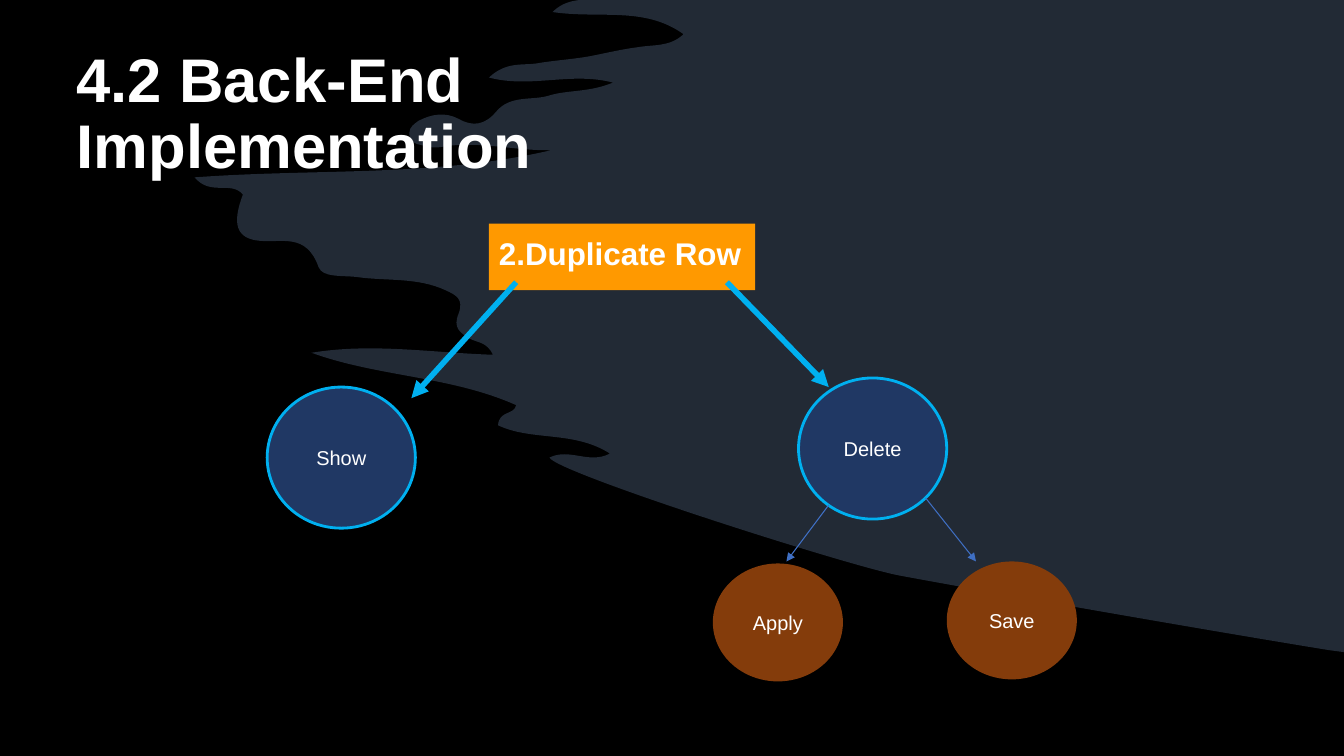
from lxml import etree
from pptx import Presentation
from pptx.dml.color import RGBColor
from pptx.enum.shapes import MSO_CONNECTOR, MSO_SHAPE
from pptx.enum.text import MSO_ANCHOR, MSO_AUTO_SIZE, PP_ALIGN
from pptx.oxml.ns import qn
from pptx.util import Inches, Pt

TITLE = "4.2 Back-End Implementation"
ROOT = "2.Duplicate Row"
WHITE, BLACK, SKY = "FFFFFF", "000000", "00B0F0"

ACTION = {"size": (1.47, 1.4), "fill": "203864", "line": SKY}
RESULT = {"size": (1.29, 1.17), "fill": "843C0B", "line": None}
NODES = [  # label, left, top, style
    ("Show", 2.65, 3.84, ACTION),
    ("Delete", 7.92, 3.75, ACTION),
    ("Apply", 7.07, 5.59, RESULT),
    ("Save", 9.39, 5.57, RESULT),
]

THICK, THIN = (SKY, 4), ("3F6FC3", 0.75)
ARROWS = [  # start, end, (colour, width)
    ((5.12, 2.8), (4.08, 3.95), THICK),
    ((7.21, 2.8), (8.22, 3.84), THICK),
    ((8.22, 5.01), (7.8, 5.57), THIN),
    ((9.18, 4.94), (9.68, 5.57), THIN),
]

BRUSH_TOP = [(13.33, 0), (5.75, 0)]
BRUSH_CURVES = [  # two control points and an end point each
    (5.67, 0.01, 5.57, 0.03, 5.48, 0.12), (5.95, 0.19, 6.39, 0.06, 6.78, 0.34),
    (6.64, 0.47, 6.48, 0.44, 6.32, 0.47), (6.16, 0.49, 6, 0.53, 5.84, 0.56),
    (5.67, 0.59, 5.49, 0.6, 5.32, 0.63), (5.18, 0.65, 5.02, 0.61, 4.85, 0.77),
    (5.27, 0.88, 5.66, 0.71, 6.08, 0.82), (5.84, 0.92, 5.63, 0.89, 5.44, 0.95),
    (5.27, 1, 5.06, 0.94, 4.92, 1.11), (4.81, 1.24, 4.69, 1.26, 4.55, 1.18),
    (4.42, 1.11, 4.28, 1.13, 4.15, 1.2), (4.11, 1.23, 4.06, 1.26, 4.06, 1.32),
    (4.06, 1.41, 4.12, 1.43, 4.18, 1.44), (4.24, 1.46, 4.31, 1.47, 4.37, 1.46),
    (4.74, 1.39, 5.1, 1.5, 5.47, 1.49), (4.31, 1.76, 3.14, 1.67, 1.93, 1.76),
    (2.09, 1.95, 2.29, 1.79, 2.41, 1.93), (2.3, 2.22, 2.34, 2.37, 2.58, 2.39),
    (2.8, 2.41, 3.04, 2.31, 3.16, 2.65), (3.2, 2.76, 3.41, 2.73, 3.55, 2.75),
    (3.84, 2.79, 4.14, 2.75, 4.42, 2.88), (4.53, 2.93, 4.6, 2.97, 4.55, 3.11),
    (4.49, 3.25, 4.56, 3.3, 4.66, 3.36), (4.73, 3.4, 4.83, 3.39, 4.89, 3.52),
    (4.28, 3.5, 3.69, 3.4, 3.09, 3.5), (3.75, 3.74, 4.47, 3.73, 5.12, 4.02),
    (5.1, 4.12, 4.95, 4.07, 4.94, 4.22), (5.28, 4.38, 5.69, 4.27, 6.05, 4.5),
    (5.84, 4.61, 5.65, 4.44, 5.45, 4.54), (5.52, 4.69, 8.4, 5.61, 8.92, 5.71),
    (9.78, 5.87, 11.95, 6.25, 13.18, 6.45),
]
BRUSH_CORNER = (13.33, 6.47)


def rgb(value):
    return RGBColor.from_string(value)


def paint(shape, fill, line=None, width=2):
    shape.shadow.inherit = False
    shape.fill.solid()
    shape.fill.fore_color.rgb = rgb(fill)
    if line:
        shape.line.color.rgb = rgb(line)
        shape.line.width = Pt(width)
    else:
        shape.line.fill.background()


def write(shape, text, size, bold=False, align=PP_ALIGN.LEFT, anchor=MSO_ANCHOR.MIDDLE, spacing=1.0):
    frame = shape.text_frame
    frame.text = text
    paragraph = frame.paragraphs[0]
    formats = [
        (frame, {"word_wrap": True, "auto_size": MSO_AUTO_SIZE.NONE, "vertical_anchor": anchor}),
        (paragraph, {"alignment": align, "line_spacing": spacing, "space_after": Pt(6)}),
        (paragraph.runs[0].font, {"name": "Arial", "size": Pt(size), "bold": bold}),
    ]
    for target, values in formats:
        for name, value in values.items():
            setattr(target, name, value)
    paragraph.runs[0].font.color.rgb = rgb(WHITE)


def bend(segment, curve, left, top):
    """Turn a straight freeform segment into a cubic curve."""
    segment.tag = qn("a:cubicBezTo")
    segment.clear()
    for x, y in zip(curve[::2], curve[1::2]):
        etree.SubElement(segment, qn("a:pt"), x=str(Inches(x) - left), y=str(Inches(y) - top))


def add_brush(slide):
    corners = BRUSH_TOP + [curve[4:] for curve in BRUSH_CURVES] + [BRUSH_CORNER]
    points = [(Inches(x), Inches(y)) for x, y in corners]
    builder = slide.shapes.build_freeform(*points[0])
    builder.add_line_segments(points[1:])
    brush = builder.convert_to_shape()
    paint(brush, "44546A")
    properties = brush._element.spPr
    color = properties.find(qn("a:solidFill")).find(qn("a:srgbClr"))
    etree.SubElement(color, qn("a:alpha"), val="50000")

    segments = list(properties.iter(qn("a:lnTo")))[1:]
    for segment, curve in zip(segments, BRUSH_CURVES):
        curved = etree.SubElement(segment.getparent(), qn("a:cubicBezTo"))
        segment.getparent().replace(segment, curved)
        bend(curved, curve, brush.left, brush.top)


def add_arrow(slide, start, end, color, width):
    ends = [Inches(value) for value in start + end]
    arrow = slide.shapes.add_connector(MSO_CONNECTOR.STRAIGHT, *ends)
    arrow.line.color.rgb = rgb(color)
    arrow.line.width = Pt(width)
    properties = arrow._element.spPr
    etree.SubElement(properties.find(qn("a:ln")), qn("a:tailEnd"), type="triangle")
    etree.SubElement(properties, qn("a:effectLst"))


def add_shape(slide, kind, left, top, width, height):
    return slide.shapes.add_shape(kind, *map(Inches, (left, top, width, height)))


def main():
    presentation = Presentation()
    presentation.slide_width, presentation.slide_height = Inches(13.33), Inches(7.5)
    slide = presentation.slides.add_slide(presentation.slide_layouts[5])
    slide.background.fill.solid()
    slide.background.fill.fore_color.rgb = rgb(BLACK)

    add_brush(slide)
    title = slide.shapes.title
    title.left, title.top, title.width, title.height = map(Inches, (0.66, 0.11, 5.86, 2.07))
    write(title, TITLE, 44, bold=True, spacing=0.9)
    title._element.getparent().append(title._element)  # in front of the brush stroke

    root = add_shape(slide, MSO_SHAPE.RECTANGLE, 4.85, 2.22, 2.64, 0.66)
    paint(root, "FF9900")
    write(root, ROOT, 22.4, bold=True, anchor=MSO_ANCHOR.TOP)
    for side in ("left", "top", "right", "bottom"):
        setattr(root.text_frame, f"margin_{side}", Inches(0.1))

    for label, left, top, style in NODES:
        node = add_shape(slide, MSO_SHAPE.OVAL, left, top, *style["size"])
        paint(node, style["fill"], style["line"])
        write(node, label, 14.3, align=PP_ALIGN.CENTER)

    for start, end, (color, width) in ARROWS:
        add_arrow(slide, start, end, color, width)

    presentation.save("out.pptx")


if __name__ == "__main__":
    main()
